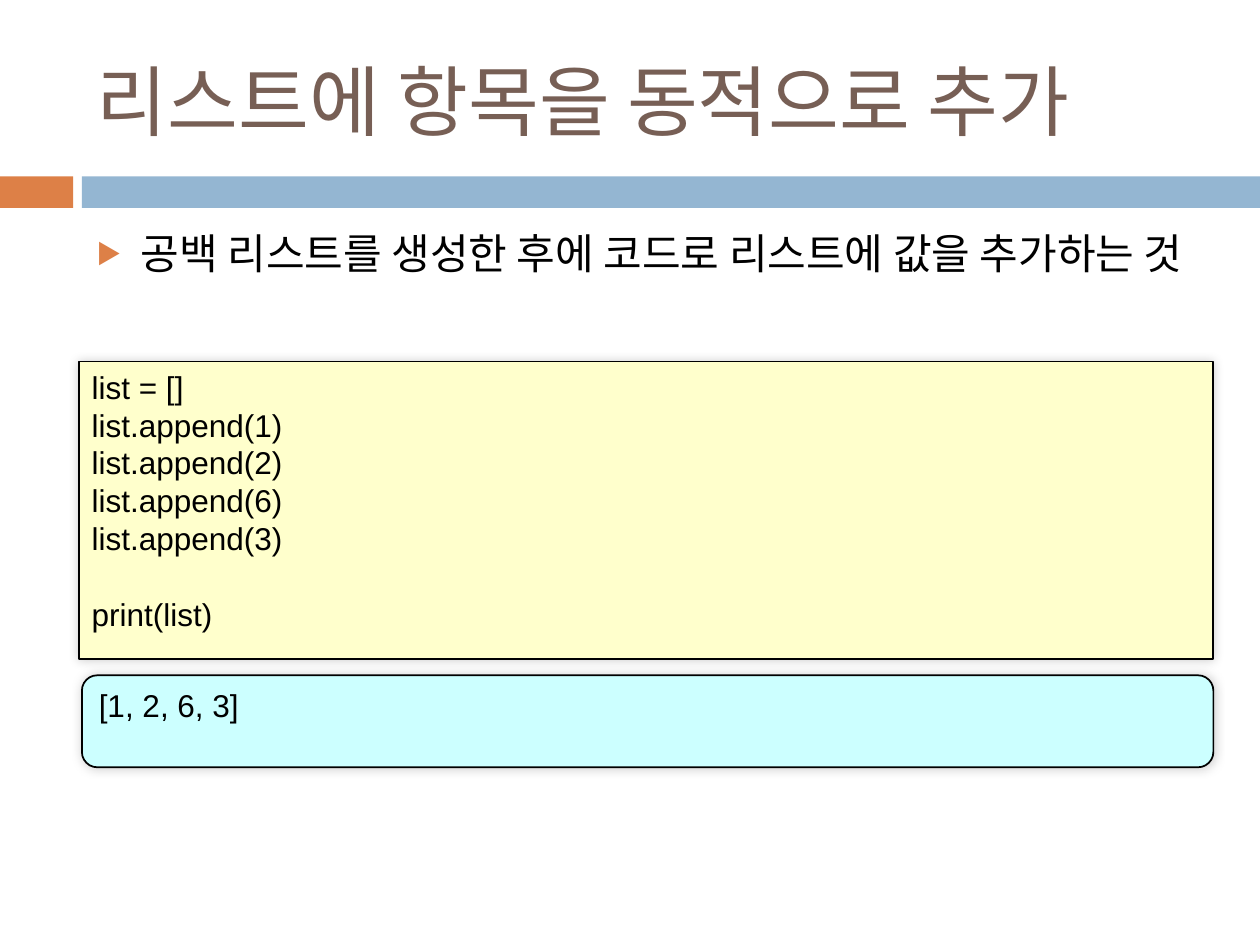
from lxml import etree
from pptx import Presentation
from pptx.dml.color import RGBColor
from pptx.enum.shapes import MSO_SHAPE as Shape
from pptx.enum.text import MSO_ANCHOR as Anchor, PP_ALIGN as Align
from pptx.oxml import parse_xml
from pptx.oxml.ns import nsdecls, qn
from pptx.util import Inches, Pt

BLACK = RGBColor(0x00, 0x00, 0x00)
BROWN = RGBColor(0x77, 0x5F, 0x55)
ORANGE = RGBColor(0xDD, 0x80, 0x47)
BLUE = RGBColor(0x94, 0xB6, 0xD2)
YELLOW = RGBColor(0xFF, 0xFF, 0xCC)
CYAN = RGBColor(0xCC, 0xFF, 0xFF)

KOREAN_FONT = "Noto Sans CJK KR"
CODE_SIZE = 18
CODE_PITCH = 21.6


class SlideBuilder:
    def __init__(self, page):
        self.page = page

    def add_run(self, para, text, size, font, color):
        span = para.add_run()
        span.text = text
        span.font.size = Pt(size)
        span.font.name = font
        span.font.color.rgb = color
        east_asian = etree.SubElement(span.font._element, qn("a:ea"))
        east_asian.set("typeface", KOREAN_FONT)

    def add_text(self, left, top, width, height, anchor=Anchor.TOP):
        """Add an empty text box and return its first paragraph."""
        box = self.page.shapes.add_textbox(
            Inches(left), Inches(top), Inches(width), Inches(height))
        frame = box.text_frame
        frame.word_wrap = True
        frame.vertical_anchor = anchor
        return frame.paragraphs[0]

    def add_title(self, text):
        para = self.add_text(0.67, 0.25, 8.92, 1.08, Anchor.MIDDLE)
        self.add_run(para, text, 44, "Cabin", BROWN)

    def add_bullet(self, text):
        para = self.add_text(0.67, 1.75, 8.92, 4.92)
        para.line_spacing = Pt(29)
        self.add_run(para, text, 24, KOREAN_FONT, BLACK)
        props = para._p.get_or_add_pPr()
        props.set("marL", str(Inches(0.35)))
        props.set("indent", str(-Inches(0.35)))
        color = etree.SubElement(props, qn("a:buClr"))
        etree.SubElement(color, qn("a:srgbClr")).set("val", str(ORANGE))
        etree.SubElement(props, qn("a:buSzPct")).set("val", "60000")
        etree.SubElement(props, qn("a:buFont")).set("typeface", KOREAN_FONT)
        etree.SubElement(props, qn("a:buChar")).set("char", "▶")

    def add_block(self, kind, left, top, width, height, fill):
        block = self.page.shapes.add_shape(
            kind, Inches(left), Inches(top), Inches(width), Inches(height))
        block.shadow.inherit = False
        block.fill.solid()
        block.fill.fore_color.rgb = fill
        block.line.fill.background()
        return block

    def add_code(self, kind, left, top, width, height, fill, groups):
        """Add a panel of code lines, with a line's gap between groups."""
        panel = self.add_block(kind, left, top, width, height, fill)
        panel.line.color.rgb = BLACK
        panel.line.width = Pt(1)
        self.add_glow_shadow(panel)
        frame = panel.text_frame
        frame.word_wrap = True
        frame.vertical_anchor = Anchor.TOP
        para = frame.paragraphs[0]
        for group_index, lines in enumerate(groups):
            for line_index, line in enumerate(lines):
                if group_index or line_index:
                    para = frame.add_paragraph()
                if group_index and line_index == 0:
                    para.space_before = Pt(CODE_PITCH)
                para.alignment = Align.LEFT
                para.line_spacing = Pt(CODE_PITCH)
                self.add_run(para, line, CODE_SIZE, "Arial", BLACK)

    def add_glow_shadow(self, panel):
        effects = panel._element.spPr.find(qn("a:effectLst"))
        effects.append(parse_xml(
            f'<a:outerShdw {nsdecls("a")} blurRad="{Pt(6)}" dist="0" '
            f'dir="18900000" rotWithShape="0"><a:srgbClr val="{BLACK}">'
            '<a:alpha val="20000"/></a:srgbClr></a:outerShdw>'))


def main():
    deck = Presentation()
    deck.slide_width = Inches(10)
    deck.slide_height = Inches(7.5)
    slide = SlideBuilder(deck.slides.add_slide(deck.slide_layouts[6]))

    slide.add_block(Shape.RECTANGLE, 0, 1.4, 0.58, 0.25, ORANGE)
    slide.add_block(Shape.RECTANGLE, 0.65, 1.4, 9.35, 0.25, BLUE)
    slide.add_title("리스트에 항목을 동적으로 추가")
    slide.add_bullet("공백 리스트를 생성한 후에 코드로 리스트에 값을 추가하는 것")

    values = [1, 2, 6, 3]
    appends = [f"list.append({value})" for value in values]
    slide.add_code(Shape.RECTANGLE, 0.63, 2.87, 9, 2.36, YELLOW,
                   [["list = []", *appends], ["print(list)"]])
    slide.add_code(Shape.FLOWCHART_ALTERNATE_PROCESS, 0.65, 5.36, 8.98, 0.73,
                   CYAN, [[str(values)]])

    deck.save("out.pptx")


if __name__ == "__main__":
    main()
